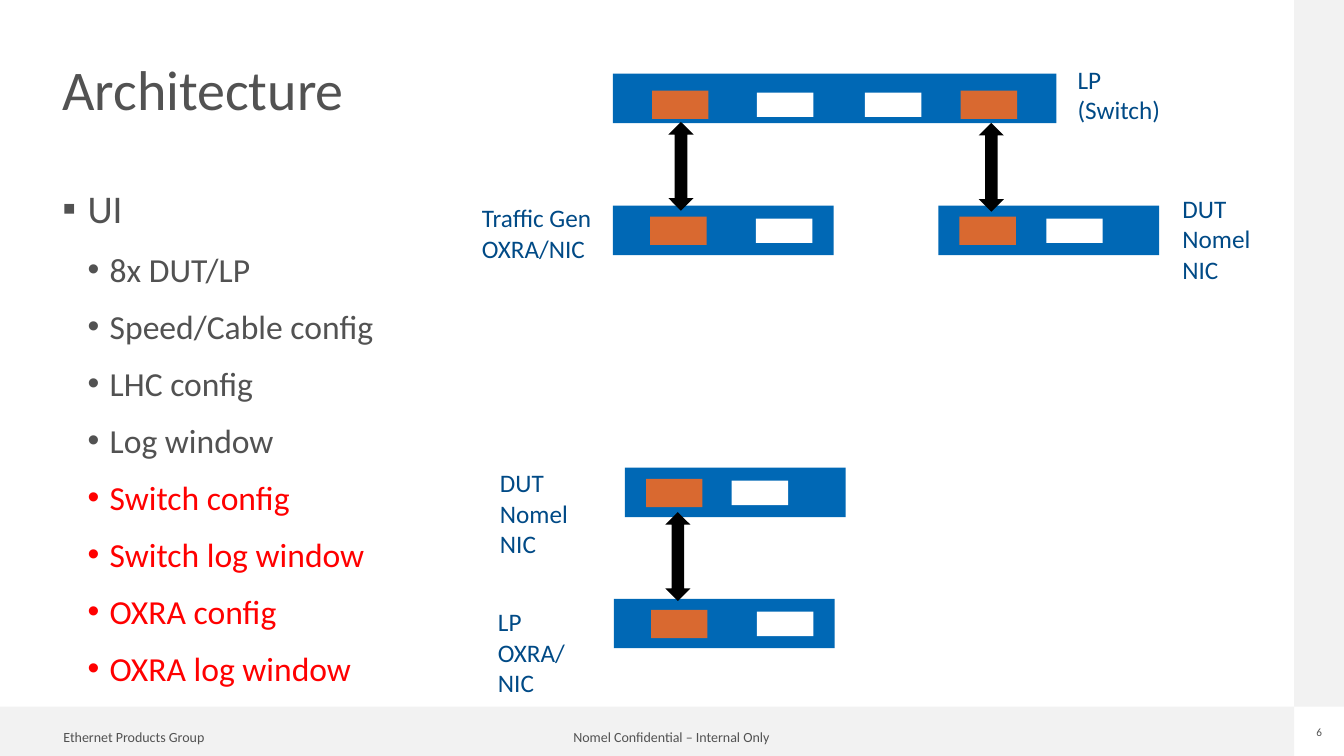
from lxml import etree
from pptx import Presentation
from pptx.dml.color import RGBColor
from pptx.enum.shapes import MSO_SHAPE
from pptx.enum.text import MSO_ANCHOR, MSO_AUTO_SIZE, PP_ALIGN
from pptx.oxml.ns import qn
from pptx.util import Pt

RECTANGLE = MSO_SHAPE.RECTANGLE
LINK_ARROW = MSO_SHAPE.UP_DOWN_ARROW
LEFT, CENTER = PP_ALIGN.LEFT, PP_ALIGN.CENTER
TOP = MSO_ANCHOR.TOP
NO_FIT = MSO_AUTO_SIZE.NONE

COLORS = {
    "band": "F2F2F2",
    "text": "525252",
    "planned": "FF0000",
    "label": "004A86",
    "device": "0068B5",
    "used": "D96930",
    "free": "FFFFFF",
    "link": "000000",
}
NO_INSETS = dict.fromkeys(
    ("margin_left", "margin_top", "margin_right", "margin_bottom"), 0)
DEVICE_WIDTH, DEVICE_HEIGHT = 157.7, 35.3
PORT_WIDTH = 40.3
PORT_HEIGHTS = {"used": 20.2, "free": 17.4}

READY_FEATURES = ["8x DUT/LP", "Speed/Cable config", "LHC config", "Log window"]
PLANNED_FEATURES = ["Switch config", "Switch log window",
                    "OXRA config", "OXRA log window"]

DEVICES = [
    (437.8, 52.6, 316.8, 22.3,
     [(465.8, "used"), (540.7, "free"), (617.8, "free"), (686.2, "used")]),
    (437.8, 146.9, DEVICE_WIDTH, 18, [(464.4, "used"), (540, "free")]),
    (670.3, 146.9, DEVICE_WIDTH, 18, [(685.4, "used"), (747.4, "free")]),
    (446.4, 334.1, DEVICE_WIDTH, 18, [(461.5, "used"), (522.7, "free")]),
    (438.5, 427.7, DEVICE_WIDTH, 18, [(465.1, "used"), (540.7, "free")]),
]
LINKS = [(477.4, 87.1), (699.1, 87.8), (475.2, 365.8)]
DEVICE_LABELS = [
    (769.7, 46.1, 65, ["LP", "(Switch)"]),
    (344.2, 144.7, 90, ["Traffic Gen", "OXRA/NIC"]),
    (844.6, 138.2, 70.6, ["DUT", "Nomel NIC"]),
    (357.1, 334.1, 70.6, ["DUT", "Nomel NIC"]),
    (355.7, 433.4, 70, ["LP", "OXRA/NIC"]),
]
FOOTERS = [
    (38.2, 517, 128.2, 18, "Ethernet Products Group", 10, LEFT, {}),
    (398.2, 517, 162.7, 18, "Nomel Confidential – Internal Only", 10, CENTER, {}),
    (937.4, 518.4, 10.1, 9.4, "6", 8, CENTER, NO_INSETS),
]


def apply_format(target, values):
    for attribute, value in values.items():
        setattr(target, attribute, value)


def format_paragraph(paragraph, text, size, color, **values):
    paragraph.text = text
    apply_format(paragraph, values)
    apply_format(paragraph.font, {"name": "Calibri", "size": Pt(size)})
    paragraph.font.color.rgb = RGBColor.from_string(COLORS[color])


def add_block(slide, kind, left, top, width, height, color):
    block = slide.shapes.add_shape(kind, Pt(left), Pt(top), Pt(width), Pt(height))
    block.shadow.inherit = False
    block.fill.solid()
    block.fill.fore_color.rgb = RGBColor.from_string(COLORS[color])
    block.line.fill.background()


def add_label(slide, left, top, width, height, lines, size, color, align, insets):
    label = slide.shapes.add_textbox(Pt(left), Pt(top), Pt(width), Pt(height))
    frame = label.text_frame
    apply_format(frame, {"word_wrap": False, **insets})
    for index, line in enumerate(lines):
        paragraph = frame.add_paragraph() if index else frame.paragraphs[0]
        format_paragraph(paragraph, line, size, color, alignment=align)


def add_device(slide, left, top, width, port_center, ports):
    add_block(slide, RECTANGLE, left, top, width, DEVICE_HEIGHT, "device")
    for port_left, state in ports:
        height = PORT_HEIGHTS[state]
        add_block(slide, RECTANGLE, port_left, top + port_center - height / 2,
                  PORT_WIDTH, height, state)


def place_placeholder(placeholder, top, height):
    apply_format(placeholder, {"left": Pt(44.6), "top": Pt(top),
                               "width": Pt(866.9), "height": Pt(height)})
    frame = placeholder.text_frame
    apply_format(frame, {"word_wrap": True, "auto_size": NO_FIT,
                         "vertical_anchor": TOP, **NO_INSETS})
    return frame


def set_bullet(paragraph, symbol, margin, hanging):
    properties = paragraph._p.get_or_add_pPr()
    properties.set("marL", str(Pt(margin)))
    properties.set("indent", str(-Pt(hanging)))
    etree.SubElement(properties, qn("a:buFont")).set("typeface", "Arial")
    etree.SubElement(properties, qn("a:buChar")).set("char", symbol)
    defaults = properties.find(qn("a:defRPr"))
    if defaults is not None:
        properties.append(defaults)


def fill_features(body):
    frame = place_placeholder(body, 131.8, 360)
    heading = frame.paragraphs[0]
    format_paragraph(heading, "UI", 28, "text", space_before=Pt(12))
    set_bullet(heading, "▪", 18, 18)
    features = [(name, "text") for name in READY_FEATURES]
    features += [(name, "planned") for name in PLANNED_FEATURES]
    for name, color in features:
        feature = frame.add_paragraph()
        format_paragraph(feature, name, 24, color, level=1, space_before=Pt(12))
        set_bullet(feature, "•", 33.8, 15.8)


def main():
    deck = Presentation()
    apply_format(deck, {"slide_width": Pt(960), "slide_height": Pt(540)})
    slide = deck.slides.add_slide(deck.slide_layouts[1])
    title, body = slide.placeholders

    add_block(slide, RECTANGLE, 0, 504.7, 924.5, 35.3, "band")
    add_block(slide, RECTANGLE, 924.5, 0, 35.5, 504.7, "band")
    for left, top, width, height, text, size, align, insets in FOOTERS:
        add_label(slide, left, top, width, height, [text], size, "text", align, insets)

    heading = place_placeholder(title, 44.6, 74.9).paragraphs[0]
    format_paragraph(heading, "Architecture", 40, "text",
                     alignment=LEFT, line_spacing=0.9)
    fill_features(body)

    for device in DEVICES:
        add_device(slide, *device)
    for left, top in LINKS:
        add_block(slide, LINK_ARROW, left, top, 18, 63.4, "link")
    for left, top, width, lines in DEVICE_LABELS:
        add_label(slide, left, top, width, 43.9, lines, 18, "label", LEFT, NO_INSETS)

    deck.save("out.pptx")


if __name__ == "__main__":
    main()
